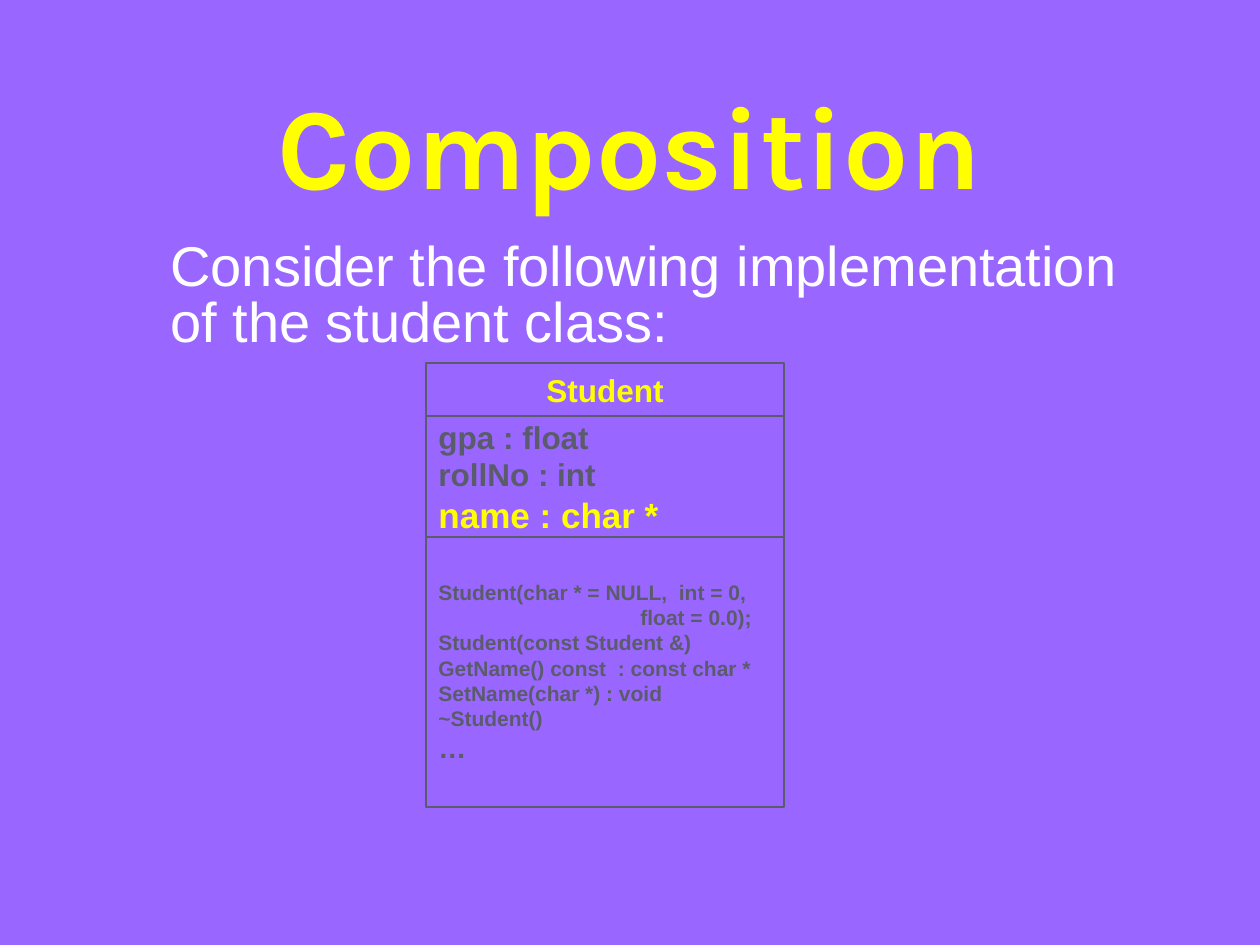
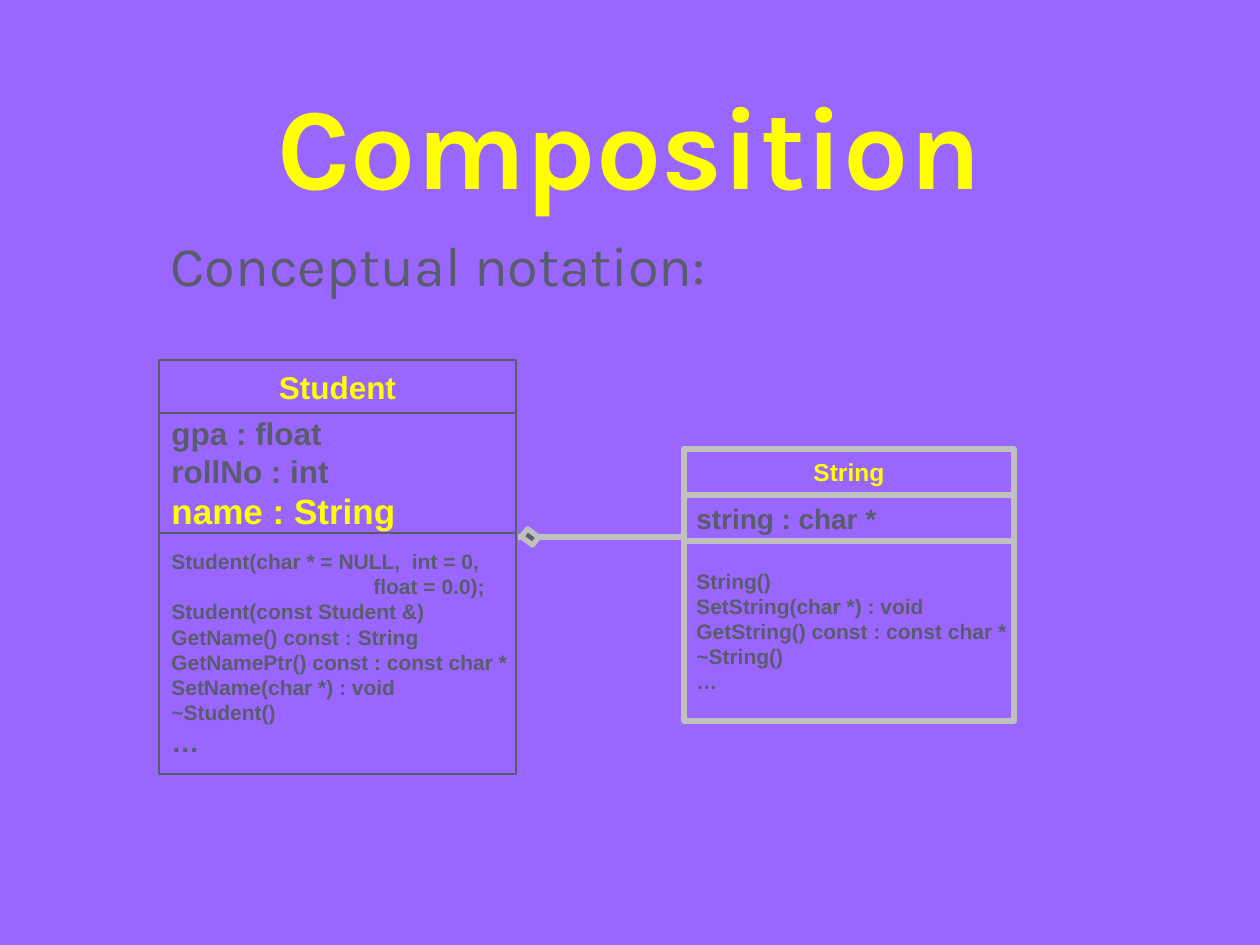
import pptx
import pptx.util
import pptx.dml.color
import pptx.enum.shapes
import pptx.enum.text
import lxml.etree

PURPLE = pptx.dml.color.RGBColor(0x99, 0x66, 0xFF)
YELLOW = pptx.dml.color.RGBColor(0xFF, 0xFF, 0x00)
WHITE = pptx.dml.color.RGBColor(0xFF, 0xFF, 0xFF)
SLATE = pptx.dml.color.RGBColor(0x5A, 0x5C, 0x6C)
SILVER = pptx.dml.color.RGBColor(0xC0, 0xC0, 0xC0)
LEFT = pptx.enum.text.PP_ALIGN.LEFT
CENTER = pptx.enum.text.PP_ALIGN.CENTER
RECTANGLE = pptx.enum.shapes.MSO_SHAPE.RECTANGLE
ARGUMENT_LINE = "float = 0.0);"
ARGUMENT_INDENT = 202


def px(length):
    return pptx.util.Emu(round(length * 914400 / 126))


def write(paragraph, text, size, color, font="Arial", bold=True, align=LEFT):
    paragraph.alignment = align
    run = paragraph.add_run()
    run.text = text
    run.font.name = font
    run.font.size = pptx.util.Pt(size)
    run.font.bold = bold
    run.font.color.rgb = color


presentation = pptx.Presentation()
presentation.slide_width = px(1260)
presentation.slide_height = px(945)
background = presentation.slide_master.background.fill
background.solid()
background.fore_color.rgb = PURPLE

student_fields = [("gpa : float", 18, SLATE), ("rollNo : int", 18, SLATE)]
constructors = ["Student(char * = NULL,  int = 0,", ARGUMENT_LINE, "Student(const Student &)"]
student_tail = ["SetName(char *) : void", "~Student()"]
ellipsis = [("…", 16, SLATE)]

student_with_pointer = {
    "left": 426, "top": 363, "width": 358, "heights": (53, 121, 270),
    "line": (SLATE, 0.75), "grouped": False,
    "name": ("Student", 18, YELLOW),
    "fields": student_fields + [("name : char *", 20, YELLOW)],
    "methods": [(text, 12, SLATE) for text in
                constructors + ["GetName() const  : const char *"] + student_tail] + ellipsis,
}
student_with_string = {
    "left": 159, "top": 360, "width": 357, "heights": (53, 120, 241),
    "line": (SLATE, 0.75), "grouped": True,
    "name": ("Student", 18, YELLOW),
    "fields": student_fields + [("name : String", 20, YELLOW)],
    "methods": [(text, 12, SLATE) for text in
                constructors + ["GetName() const : String",
                                "GetNamePtr() const : const char *"] + student_tail] + ellipsis,
}
string_class = {
    "left": 684, "top": 449, "width": 330, "heights": (46, 46, 180),
    "line": (SILVER, 3), "grouped": False,
    "name": ("String", 14, YELLOW),
    "fields": [("string : char *", 16, SLATE)],
    "methods": [(text, 12, SLATE) for text in
                ("String()", "SetString(char *) : void",
                 "GetString() const : const char *", "~String()", "…")],
}

pages = [
    ("Consider the following implementation of the student class:", "Arial", WHITE,
     [student_with_pointer], False),
    ("Conceptual notation:", "Karla", SLATE, [string_class, student_with_string], True),
]

for lead, lead_font, lead_color, classes, has_composition in pages:
    slide = presentation.slides.add_slide(presentation.slide_layouts[5])
    title = slide.shapes.title
    title.left, title.top, title.width, title.height = px(94), px(42), px(1071), px(203)
    title.text_frame.vertical_anchor = pptx.enum.text.MSO_ANCHOR.MIDDLE
    title.text_frame.auto_size = pptx.enum.text.MSO_AUTO_SIZE.NONE
    write(title.text_frame.paragraphs[0], "Composition", 66, YELLOW, "Karla", align=CENTER)

    lead_box = slide.shapes.add_textbox(px(158), px(235), px(976), px(120))
    lead_box.text_frame.word_wrap = True
    lead_paragraph = lead_box.text_frame.paragraphs[0]
    lead_paragraph.line_spacing = 0.84
    write(lead_paragraph, lead, 32, lead_color, lead_font, bold=False)

    if has_composition:
        connector = slide.shapes.add_connector(
            pptx.enum.shapes.MSO_CONNECTOR.STRAIGHT, px(518), px(537), px(683), px(537))
        connector.line.color.rgb = SILVER
        connector.line.width = pptx.util.Pt(3)
        lxml.etree.SubElement(connector._element.spPr, pptx.oxml.ns.qn("a:effectLst"))

        diamond = slide.shapes.add_shape(RECTANGLE, px(523), px(532), px(14), px(10))
        diamond.rotation = 37.3
        diamond.shadow.inherit = False
        diamond.fill.solid()
        diamond.fill.fore_color.rgb = SLATE
        diamond.line.color.rgb = SILVER
        diamond.line.width = pptx.util.Pt(3)

    for diagram in classes:
        shapes = slide.shapes.add_group_shape().shapes if diagram["grouped"] else slide.shapes
        line_color, line_width = diagram["line"]
        top = diagram["top"]
        compartments = ([diagram["name"]], diagram["fields"], diagram["methods"])
        for index, (height, lines) in enumerate(zip(diagram["heights"], compartments)):
            box = shapes.add_shape(
                RECTANGLE, px(diagram["left"]), px(top), px(diagram["width"]), px(height))
            top += height
            box.shadow.inherit = False
            box.fill.background()
            box.line.color.rgb = line_color
            box.line.width = pptx.util.Pt(line_width)
            frame = box.text_frame
            frame.word_wrap = True
            frame.vertical_anchor = pptx.enum.text.MSO_ANCHOR.MIDDLE
            if index > 0:
                frame.margin_right = 0
            for number, (text, size, color) in enumerate(lines):
                paragraph = frame.paragraphs[0] if number == 0 else frame.add_paragraph()
                write(paragraph, text, size, color, align=LEFT if index else CENTER)
                if text == ARGUMENT_LINE:
                    paragraph._p.get_or_add_pPr().set("marL", str(px(ARGUMENT_INDENT)))

presentation.save("out.pptx")
